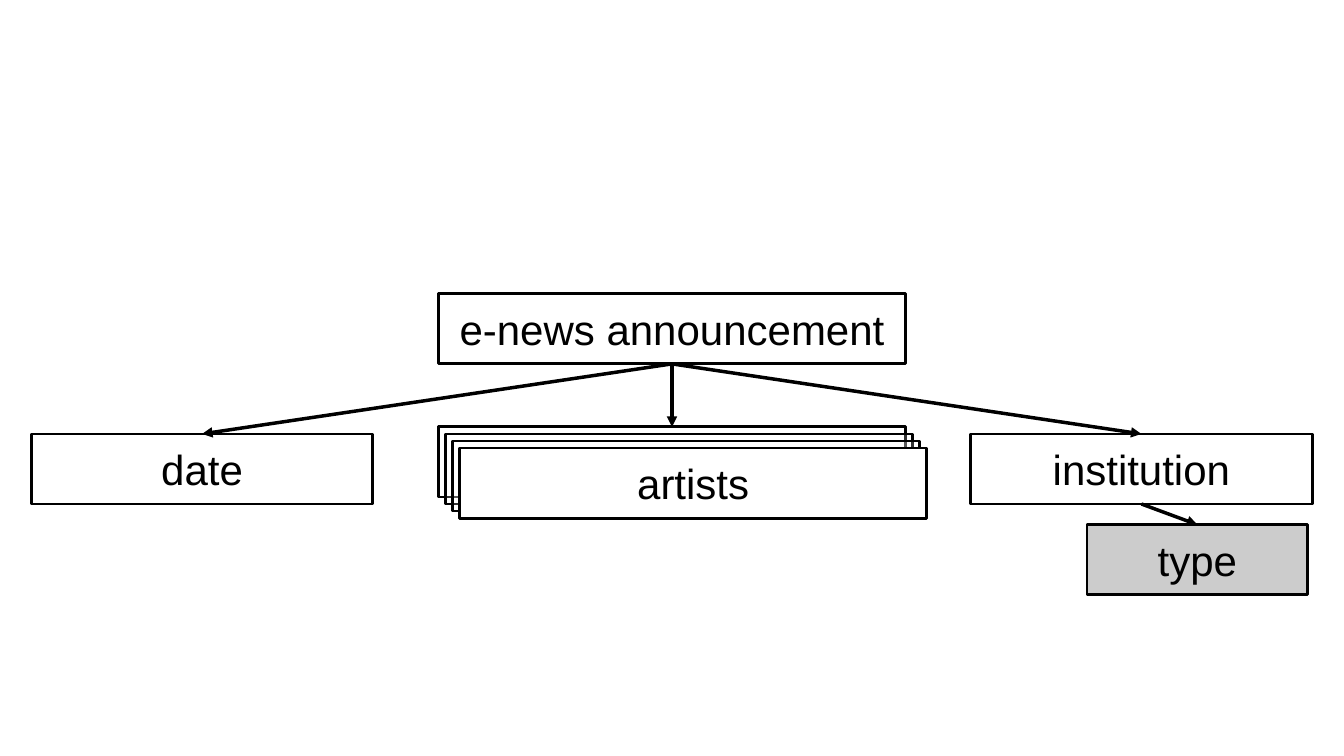
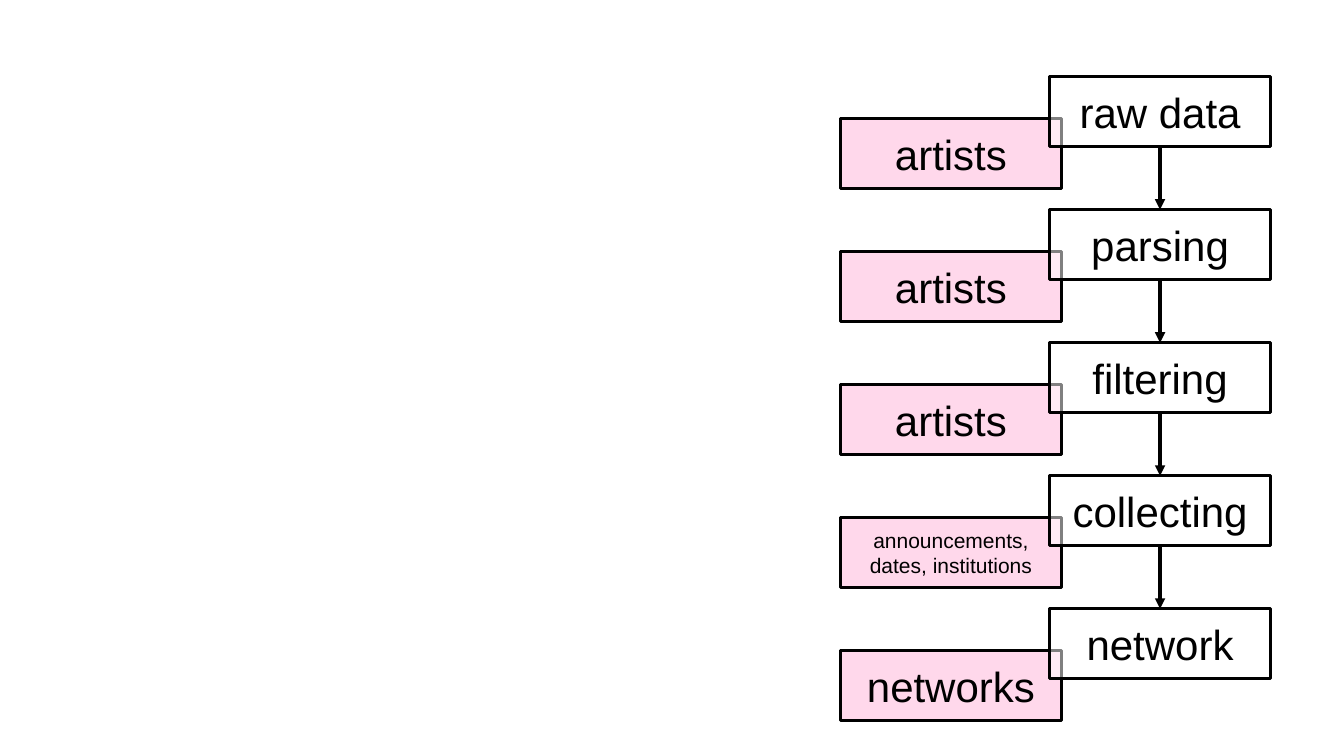
"""Build two diagrams: the parts of an announcement and the data pipeline."""
from lxml.etree import SubElement
from pptx import Presentation
from pptx.dml.color import RGBColor
from pptx.enum.shapes import MSO_CONNECTOR as Connector, MSO_SHAPE as Shape
from pptx.enum.text import MSO_ANCHOR as Anchor, PP_ALIGN as Align
from pptx.oxml.ns import qn
from pptx.util import Inches, Pt

COLORS = {"paper": "FFFFFF", "ink": "000000", "pink": "FFB3D9"}
FONT = "Arial"
BOX_HEIGHT = 1.39
WIDE, MIDDLE, NARROW = 9.27, 6.78, 4.38
INSET = 0.06

ROOT = ("e-news announcement", 8.7, 5.83)
BRANCHES = [("date", 0.62, 8.61), ("institution", 19.26, 8.61)]
TYPE = ("type", 21.57, 10.41)
STACK = ["", "", "", "artists"]
STACK_LEFT, STACK_TOP, STACK_SHIFT = 8.7, 8.47, 0.14

STEPS = [
    ("raw data", "artists", 60),
    ("parsing", "artists", 60),
    ("filtering", "artists", 60),
    ("collecting", "announcements, dates, institutions", 30),
    ("network", "networks", 60),
]
STEP_LEFT, STEP_TOP, STEP_PITCH = 20.83, 1.52, 2.64
NOTE_LEFT, NOTE_DROP = 16.68, 0.83


def rgb(name):
    return RGBColor.from_string(COLORS[name])


def add_box(page, text, left, top, width, *, fill="paper", opacity=100, size=60):
    box = page.shapes.add_shape(
        Shape.RECTANGLE, Inches(left), Inches(top), Inches(width), Inches(BOX_HEIGHT)
    )
    box.shadow.inherit = False
    box.fill.solid()
    box.fill.fore_color.rgb = rgb(fill)
    if opacity < 100:
        color = box.fill._xPr.find(qn("a:solidFill"))[0]
        SubElement(color, qn("a:alpha"), val=str(opacity * 1000))
    box.line.color.rgb = rgb("ink")
    box.line.width = Pt(4)
    if text:
        frame = box.text_frame
        frame.word_wrap = True
        frame.vertical_anchor = Anchor.MIDDLE
        frame.margin_left = frame.margin_right = Inches(INSET)
        frame.margin_top = frame.margin_bottom = Inches(INSET)
        para = frame.paragraphs[0]
        para.alignment = Align.CENTER
        span = para.add_run()
        span.text = text
        span.font.name = FONT
        span.font.size = Pt(size)
        span.font.color.rgb = rgb("ink")
    return box


def add_arrow(page, parent, child):
    arrow = page.shapes.add_connector(Connector.STRAIGHT, 0, 0, 0, 0)
    arrow.begin_connect(child, 0)
    arrow.end_connect(parent, 2)
    arrow.line.color.rgb = rgb("ink")
    arrow.line.width = Pt(5)
    SubElement(arrow.line._get_or_add_ln(), qn("a:headEnd"), type="triangle")
    SubElement(arrow._element.spPr, qn("a:effectLst"))


def build_announcement(page):
    root = add_box(page, *ROOT, WIDE, opacity=20)
    stack = [
        add_box(page, text, STACK_LEFT + i * STACK_SHIFT, STACK_TOP + i * STACK_SHIFT,
                WIDE, opacity=100 if text else 20)
        for i, text in enumerate(STACK)
    ]
    date, institution = [add_box(page, *branch, MIDDLE, opacity=20) for branch in BRANCHES]
    kind = add_box(page, *TYPE, NARROW, fill="ink", opacity=20)
    for child in (date, stack[0], institution):
        add_arrow(page, root, child)
    add_arrow(page, institution, kind)


def build_pipeline(page):
    tops = [STEP_TOP + i * STEP_PITCH for i in range(len(STEPS))]
    for (_, note, size), top in zip(STEPS, tops):
        add_box(page, note, NOTE_LEFT, top + NOTE_DROP, NARROW,
                fill="pink", opacity=50, size=size)
    steps = [
        add_box(page, name, STEP_LEFT, top, NARROW, opacity=50)
        for (name, _, _), top in zip(STEPS, tops)
    ]
    for step, following in zip(steps, steps[1:]):
        add_arrow(page, step, following)


def main():
    deck = Presentation()
    deck.slide_width = Inches(26.67)
    deck.slide_height = Inches(15)
    for build in (build_announcement, build_pipeline):
        build(deck.slides.add_slide(deck.slide_layouts[6]))
    deck.save("out.pptx")


if __name__ == "__main__":
    main()
